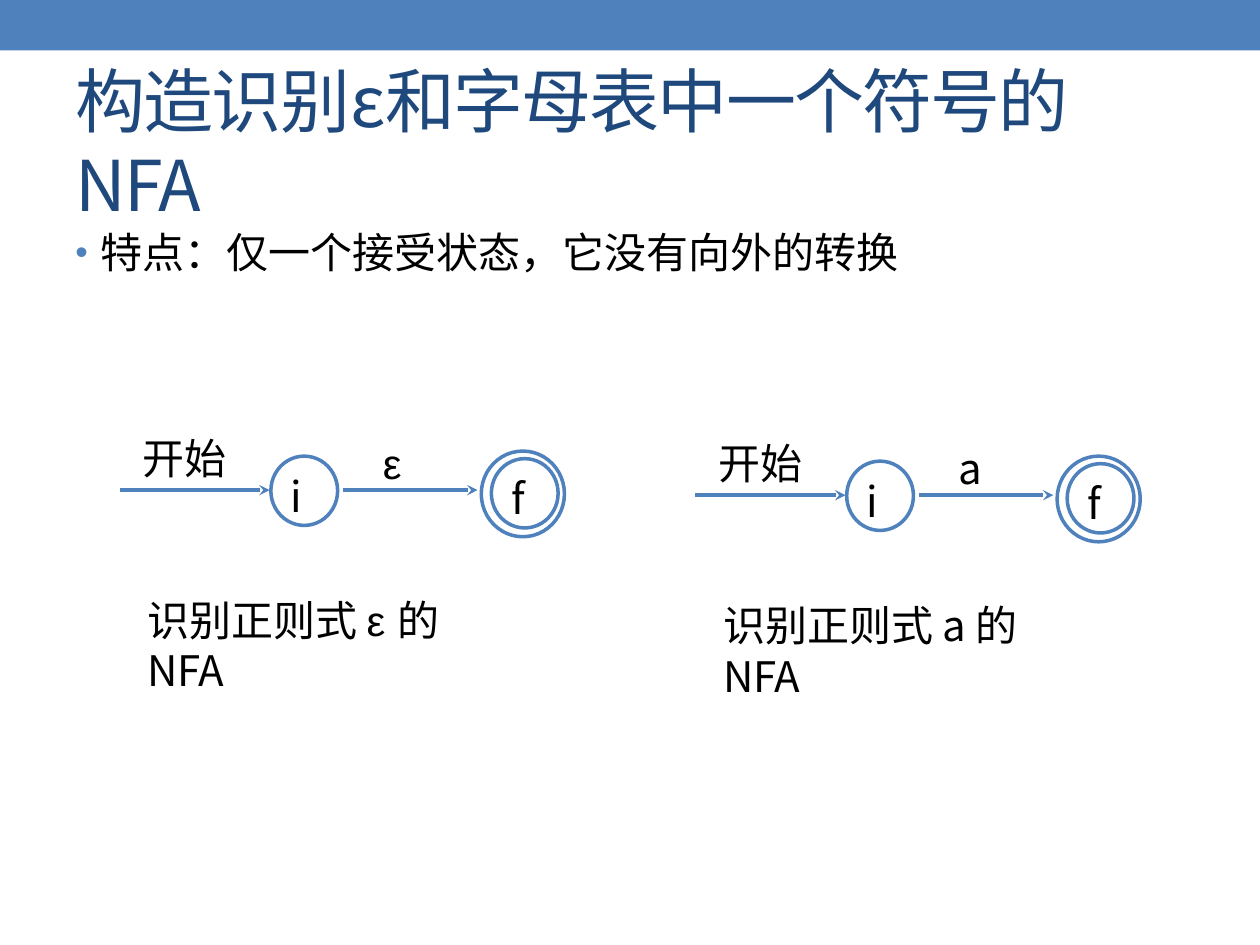
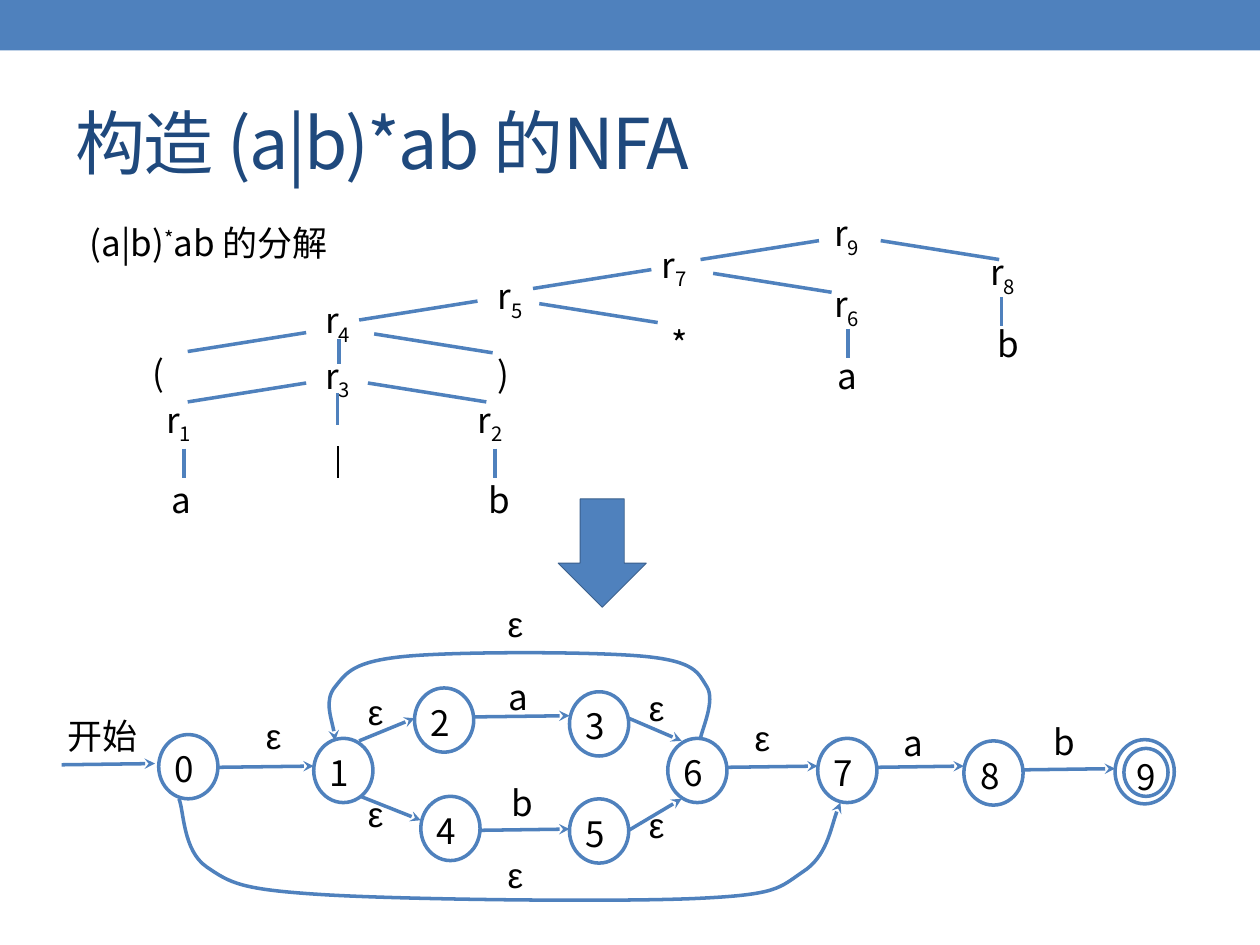
from dataclasses import dataclass

from pptx import Presentation
from pptx.dml.color import RGBColor
from pptx.enum.shapes import MSO_CONNECTOR as Connector, MSO_SHAPE as Shape
from pptx.enum.text import MSO_ANCHOR as Anchor, MSO_AUTO_SIZE as AutoSize, PP_ALIGN as Align
from pptx.oxml.ns import qn
from pptx.oxml.xmlchemy import OxmlElement
from pptx.util import Inches, Pt


@dataclass(frozen=True)
class Theme:
    accent: str = "4F81BD"
    accent_dark: str = "3A5F8C"
    title: str = "1F497D"
    ink: str = "000000"
    cjk: str = "Noto Sans CJK SC"
    greek: str = "Arial"
    title_size: int = 40
    body_size: int = 24
    graph_size: int = 20
    stroke: float = 2


THEME = Theme()
LABEL_INSETS = (0.06, 0.03, 0.06, 0.03)
TREE_INSETS = (0.05, 0.01, 0.06, 0.01)
STATE_INSETS = (0.06, 0.03, 0.02, 0.05)
STATE_SIZE = (0.47, 0.51)


def set_all(target, values):
    for name, value in values.items():
        setattr(target, name, value)


def add_xml(parent, tag, **attributes):
    child = OxmlElement(tag)
    for name, value in attributes.items():
        child.set(name, str(value))
    parent.append(child)
    return child


def box(*lengths):
    return [Inches(length) for length in lengths]


def write(frame, content, size, color=THEME.ink, insets=(0.1, 0.05, 0.1, 0.05),
          align=Align.LEFT, anchor=Anchor.TOP, spacing=None):
    """Fill a frame with a string, or with (text, baseline percent) runs."""
    left, top, right, bottom = box(*insets)
    set_all(frame, {
        "word_wrap": True, "auto_size": AutoSize.NONE, "vertical_anchor": anchor,
        "margin_left": left, "margin_top": top,
        "margin_right": right, "margin_bottom": bottom,
    })
    paragraph = frame.paragraphs[0]
    paragraph.alignment = align
    runs = [(content, 0)] if isinstance(content, str) else content
    for text, baseline in runs:
        run = paragraph.add_run()
        run.text = text
        family = THEME.greek if text.strip() == "ε" else THEME.cjk
        set_all(run.font, {"size": Pt(size), "name": family, "bold": False})
        run.font.color.rgb = RGBColor.from_string(color)
        properties = run.font._element
        add_xml(properties, "a:ea", typeface=family)
        if baseline:
            properties.set("baseline", str(baseline * 1000))
        if spacing:
            properties.set("spc", str(spacing * 100))


def add_text(slide, at, content, size, **style):
    frame = slide.shapes.add_textbox(*box(*at)).text_frame
    write(frame, content, size, **style)
    return frame


def add_label(slide, at, text, size):
    add_text(slide, at, text, size, insets=LABEL_INSETS, align=Align.JUSTIFY)


def draw_line(line, color=THEME.accent, width=THEME.stroke, arrow=False):
    line.color.rgb = RGBColor.from_string(color)
    line.width = Pt(width)
    if arrow:
        add_xml(line._get_or_add_ln(), "a:tailEnd", type="stealth")


def add_line(slide, start, end, **style):
    connector = slide.shapes.add_connector(Connector.STRAIGHT, *box(*start, *end))
    draw_line(connector.line, **style)
    add_xml(connector.element.spPr, "a:effectLst")


def add_state(slide, at, text="", size=THEME.graph_size, insets=STATE_INSETS):
    circle = slide.shapes.add_shape(Shape.OVAL, *box(*at))
    circle.shadow.inherit = False
    circle.fill.background()
    draw_line(circle.line)
    if text:
        write(circle.text_frame, text, size, insets=insets)


def add_curved_arrow(slide, start, controls):
    """Draw a Bézier arrow; each three control points make one segment."""
    builder = slide.shapes.build_freeform(*box(*start))
    builder.add_line_segments([box(*point) for point in controls], close=False)
    curve = builder.convert_to_shape()
    curve.shadow.inherit = False
    curve.fill.background()
    draw_line(curve.line, arrow=True)
    outline = next(curve.element.iter(qn("a:path")))
    segments = outline.findall(qn("a:lnTo"))
    for first in range(0, len(segments), 3):
        bezier = add_xml(outline, "a:cubicBezTo")
        for segment in segments[first:first + 3]:
            bezier.append(segment[0])
            outline.remove(segment)


def add_solid(slide, kind, at):
    solid = slide.shapes.add_shape(kind, *box(*at))
    solid.shadow.inherit = False
    solid.fill.solid()
    solid.fill.fore_color.rgb = RGBColor.from_string(THEME.accent)
    return solid


def add_titled_slide(prs, title):
    slide = prs.slides.add_slide(prs.slide_layouts[5])
    left, top, width, height = box(0.5, 0.58, 9, 1.08)
    set_all(slide.shapes.title, {"left": left, "top": top, "width": width, "height": height})
    write(slide.shapes.title.text_frame, title, THEME.title_size, THEME.title,
          anchor=Anchor.MIDDLE, spacing=-1)
    return slide


def move_band_to_master(prs, slide):
    band = add_solid(slide, Shape.RECTANGLE, (0, 0, 10, 0.4))
    band.line.fill.background()
    prs.slide_master.shapes.element.insert(2, band.element)


def add_bullet(slide, at, text):
    frame = add_text(slide, at, "", THEME.body_size)
    properties = frame.paragraphs[0]._p.get_or_add_pPr()
    properties.set("marL", str(Inches(0.2)))
    properties.set("indent", str(-Inches(0.2)))
    add_xml(add_xml(properties, "a:buClr"), "a:srgbClr", val=THEME.accent)
    add_xml(properties, "a:buSzPct", val=85000)
    add_xml(properties, "a:buFont", typeface="Arial")
    add_xml(properties, "a:buChar", char="•")
    for empty_run in frame.paragraphs[0].runs:
        frame.paragraphs[0]._p.remove(empty_run._r)
    write(frame, text, THEME.body_size)


def add_basic_nfa(slide, x, y, symbol, caption):
    """Draw start -> i -> f; x and y are the tail of the start arrow."""
    size = THEME.body_size
    add_line(slide, (x, y), (x + 1.19, y), arrow=True)
    add_line(slide, (x + 1.77, y), (x + 2.84, y), arrow=True)
    add_label(slide, (x + 0.12, y - 0.49, 1.01, 0.52), "开始", size)
    add_label(slide, (x + 2.03, y - 0.45, 0.43, 0.44), symbol, size)
    add_state(slide, (x + 1.2, y - 0.27, 0.53, 0.55), "i", size, (0.08, 0.03, 0.02, 0.05))
    add_state(slide, (x + 2.87, y - 0.31, 0.66, 0.68))
    add_state(slide, (x + 2.95, y - 0.25, 0.53, 0.55), "f", size, (0.08, 0.03, 0.02, 0.02))
    add_text(slide, (x + 0.12, y + 0.78, 3.11, 0.5), caption, size)


def add_syntax_tree(slide):
    add_text(slide, (0.62, 1.73, 2.45, 0.5), [("(a|b)", 0), ("*", 30), ("ab 的分解", 0)],
             THEME.graph_size, insets=(0.09, 0.03, 0.1, 0.05))
    nonterminals = {
        1: (1.27, 3.15), 2: (3.74, 3.15), 3: (2.53, 2.8), 4: (2.53, 2.36), 5: (3.9, 2.17),
        6: (6.57, 2.23), 7: (5.2, 1.92), 8: (7.81, 1.98), 9: (6.57, 1.67),
    }
    terminals = [
        ("(", 1.16, 2.78), (")", 3.9, 2.79), ("*", 5.28, 2.55), ("a", 1.31, 3.79),
        ("b", 3.83, 3.79), ("a", 6.6, 2.8), ("b", 7.87, 2.55),
    ]
    nodes = [([("r", 0), (str(number), -25)], *at) for number, at in nonterminals.items()]
    for content, x, y in nodes + terminals:
        add_text(slide, (x, y, 0.54, 0.28), content, THEME.graph_size,
                 insets=TREE_INSETS, align=Align.JUSTIFY)

    left_branches = [(6.5, 1.91), (5.17, 2.14), (3.79, 2.39), (2.43, 2.64), (2.43, 3.04)]
    right_branches = [(6.99, 1.91), (5.66, 2.17), (4.28, 2.41), (2.97, 2.65), (2.92, 3.04)]
    for run, branches in ((-0.94, left_branches), (0.94, right_branches)):
        for x, y in branches:
            add_line(slide, (x, y), (x + run, y + 0.15))
    stems = [(2.69, 2.69, 0.2), (2.68, 3.12, 0.25), (7.95, 2.36, 0.23),
             (6.73, 2.61, 0.23), (1.46, 3.56, 0.23), (3.93, 3.56, 0.23)]
    for x, y, length in stems:
        add_line(slide, (x, y), (x, y + length))
    add_line(slide, (2.68, 3.54), (2.68, 3.79), color=THEME.ink, width=1.25)


def add_full_nfa(slide):
    states = {
        0: (1.26, 5.83), 1: (2.49, 5.86), 2: (3.29, 5.46), 3: (4.52, 5.49), 4: (3.34, 6.32),
        5: (4.52, 6.34), 6: (5.3, 5.86), 7: (6.49, 5.86), 8: (7.65, 5.88), 9: (8.85, 5.87),
    }
    accepting = 9
    for number, at in states.items():
        add_state(slide, (*at, *STATE_SIZE), "" if number == accepting else str(number))
    add_state(slide, (8.92, 5.94, 0.35, 0.38), str(accepting), insets=(0.05, 0, 0.01, 0))

    level_moves = [(0, 1, 6.09), (2, 3, 5.69), (4, 5, 6.59), (6, 7, 6.09),
                   (7, 8, 6.09), (8, 9, 6.11)]
    for source, target, y in level_moves:
        add_line(slide, (states[source][0] + STATE_SIZE[0], y),
                 (states[target][0], y - 0.01), arrow=True)
    slanted_moves = [
        ((0.49, 6.07), (1.23, 6.06)), ((2.85, 5.88), (3.29, 5.7)), ((4.99, 5.7), (5.41, 5.88)),
        ((4.99, 6.59), (5.41, 6.34)), ((2.86, 6.32), (3.34, 6.51)),
    ]
    for start, end in slanted_moves:
        add_line(slide, start, end, arrow=True)

    add_curved_arrow(slide, (1.42, 6.34), [
        (1.46, 6.43), (1.45, 6.75), (1.64, 6.88), (1.83, 7.01), (1.91, 7.06), (2.56, 7.1),
        (3.21, 7.14), (4.9, 7.16), (5.54, 7.13), (6.17, 7.1), (6.18, 7.05), (6.37, 6.92),
        (6.56, 6.8), (6.61, 6.49), (6.67, 6.37)])
    add_curved_arrow(slide, (5.56, 5.86), [
        (5.57, 5.79), (5.68, 5.56), (5.61, 5.45), (5.54, 5.34), (5.52, 5.25), (5.12, 5.21),
        (4.72, 5.17), (3.61, 5.17), (3.21, 5.21), (2.8, 5.25), (2.75, 5.34), (2.66, 5.45),
        (2.57, 5.56), (2.66, 5.79), (2.66, 5.88)])

    add_label(slide, (0.48, 5.64, 0.76, 0.49), "开始", THEME.graph_size)
    symbols = {
        "ε": [(2.05, 5.64), (2.86, 5.45), (2.86, 6.26), (5.09, 5.42), (5.09, 6.35),
              (3.97, 6.74), (5.93, 5.66), (3.97, 4.75)],
        "a": [(3.98, 5.33), (7.11, 5.7)],
        "b": [(4, 6.17), (8.3, 5.69)],
    }
    for symbol, places in symbols.items():
        for at in places:
            add_label(slide, (*at, 0.4, 0.41), symbol, THEME.graph_size)


def main():
    prs = Presentation()
    set_all(prs, {"slide_width": Inches(10), "slide_height": Inches(7.5)})

    basics = add_titled_slide(prs, "构造识别ε和字母表中一个符号的NFA")
    move_band_to_master(prs, basics)
    add_bullet(basics, (0.5, 1.75, 9, 5.33), "特点：仅一个接受状态，它没有向外的转换")
    add_basic_nfa(basics, 0.95, 3.89, "ε", [("识别正则式 ", 0), ("ε ", 0), ("的NFA", 0)])
    add_basic_nfa(basics, 5.52, 3.93, "a", "识别正则式 a 的NFA")

    composed = add_titled_slide(prs, "构造 (a|b)*ab 的NFA")
    add_full_nfa(composed)
    add_syntax_tree(composed)
    down_arrow = add_solid(composed, Shape.DOWN_ARROW, (4.43, 3.96, 0.7, 0.86))
    draw_line(down_arrow.line, THEME.accent_dark, 0.5)

    prs.save("out.pptx")


if __name__ == "__main__":
    main()
